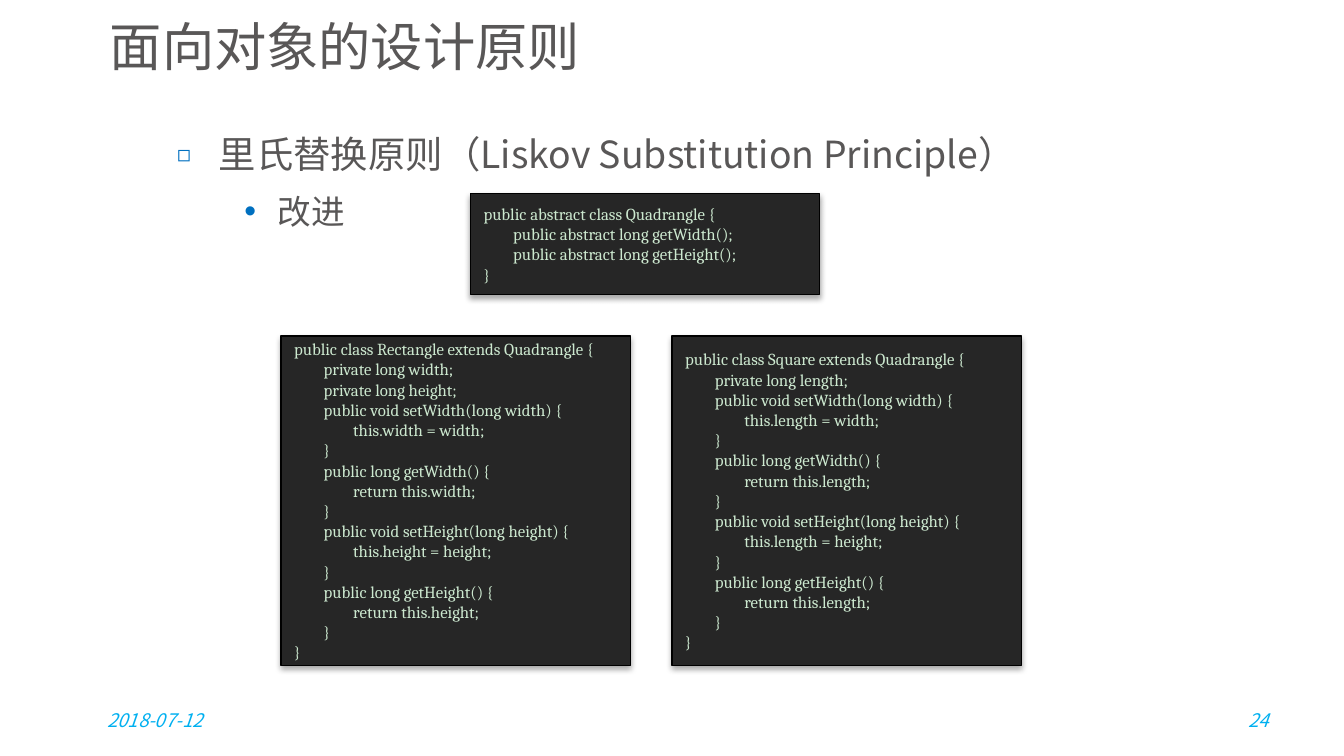
from lxml import etree
from pptx import Presentation
from pptx import util as u
from pptx.dml.color import RGBColor
from pptx.enum import shapes, text
from pptx.oxml import ns

COLORS = {
    "page": "FFFFFF", "heading": "595757", "bullet": "0070C0",
    "footer": "00B0F0", "panel": "262626", "border": "000000", "code": "CCE8CF",
}
SANS, SERIF = "Noto Sans CJK SC", "Cambria"
CODE_INDENT = 0.22

QUADRANGLE = """public abstract class Quadrangle {
    public abstract long getWidth();
    public abstract long getHeight();
}"""

RECTANGLE = """public class Rectangle extends Quadrangle {
    private long width;
    private long height;
    public void setWidth(long width) {
        this.width = width;
    }
    public long getWidth() {
        return this.width;
    }
    public void setHeight(long height) {
        this.height = height;
    }
    public long getHeight() {
        return this.height;
    }
}"""

SQUARE = """public class Square extends Quadrangle {
    private long length;
    public void setWidth(long width) {
        this.length = width;
    }
    public long getWidth() {
        return this.length;
    }
    public void setHeight(long height) {
        this.length = height;
    }
    public long getHeight() {
        return this.length;
    }
}"""


def rgb(name):
    return RGBColor.from_string(COLORS[name])


def add_xml(parent, tag, **attributes):
    return etree.SubElement(parent, ns.qn(tag), attributes)


def style(para, size, color, font=SANS, italic=None):
    para.font.size = u.Pt(size)
    para.font.name = font
    para.font.italic = italic
    para.font.color.rgb = rgb(color)
    add_xml(para._p.pPr.find(ns.qn("a:defRPr")), "a:ea", typeface=font)


def set_indent(para, left, first=0):
    properties = para._p.get_or_add_pPr()
    properties.set("marL", str(u.Inches(left)))
    properties.set("indent", str(u.Inches(first)))


def set_bullet(para, char, percent, font):
    """Add a coloured bullet to a paragraph that is already styled."""
    holder = etree.Element("holder")
    color = add_xml(holder, "a:buClr")
    add_xml(color, "a:srgbClr", val=COLORS["bullet"])
    add_xml(holder, "a:buSzPct", val=str(percent * 1000))
    add_xml(holder, "a:buFont", typeface=font)
    add_xml(holder, "a:buChar", char=char)
    defaults = para._p.pPr.find(ns.qn("a:defRPr"))
    for part in list(holder):
        defaults.addprevious(part)


def add_text_frame(page, box):
    frame = page.shapes.add_textbox(*map(u.Inches, box)).text_frame
    frame.word_wrap = True
    return frame


def add_title(page, box, wording):
    frame = add_text_frame(page, box)
    frame.text = wording
    style(frame.paragraphs[0], 28, "heading")


def add_outline(page, box, items):
    frame = add_text_frame(page, box)
    frame.text = "\n".join(item[0] for item in items)
    for level, (para, item) in enumerate(zip(frame.paragraphs, items), start=1):
        _, size, left, first, *bullet = item
        para.level = level
        para.alignment = text.PP_ALIGN.JUSTIFY
        para.line_spacing = 1.25
        para.space_before = u.Pt(3)
        set_indent(para, left, first)
        style(para, size, "heading")
        set_bullet(para, *bullet)


def add_footer(page, box, wording, align):
    frame = add_text_frame(page, box)
    frame.vertical_anchor = text.MSO_ANCHOR.MIDDLE
    frame.text = wording
    frame.paragraphs[0].alignment = align
    style(frame.paragraphs[0], 10, "footer", italic=True)


def add_shadow(shape):
    shape.shadow.inherit = False
    effects = shape._element.spPr.find(ns.qn("a:effectLst"))
    shadow = add_xml(effects, "a:outerShdw", blurRad=str(u.Pt(3.1)),
                     dist=str(u.Pt(1.8)), dir="5400000", rotWithShape="0")
    color = add_xml(shadow, "a:srgbClr", val=COLORS["border"])
    add_xml(color, "a:alpha", val="35000")


def add_code_panel(page, box, code):
    panel = page.shapes.add_shape(shapes.MSO_SHAPE.RECTANGLE, *map(u.Inches, box))
    panel.fill.solid()
    panel.fill.fore_color.rgb = rgb("panel")
    panel.line.color.rgb = rgb("border")
    panel.line.width = u.Pt(0.75)
    add_shadow(panel)
    lines = code.splitlines()
    frame = panel.text_frame
    frame.word_wrap = True
    frame.vertical_anchor = text.MSO_ANCHOR.MIDDLE
    frame.text = "\n".join(line.strip() for line in lines)
    for para, line in zip(frame.paragraphs, lines):
        depth = (len(line) - len(line.lstrip())) // 4
        para.alignment = text.PP_ALIGN.LEFT
        set_indent(para, depth * CODE_INDENT)
        style(para, 9, "code", SERIF)


def main():
    deck = Presentation()
    deck.slide_width = u.Inches(10)
    deck.slide_height = deck.slide_width * 9 // 16
    page = deck.slides.add_slide(deck.slide_layouts[6])
    page.background.fill.solid()
    page.background.fill.fore_color.rgb = rgb("page")

    add_footer(page, (0.7, 5.21, 2.33, 0.3), "2018-07-12", text.PP_ALIGN.LEFT)
    add_footer(page, (7.21, 5.21, 2.33, 0.3), "24", text.PP_ALIGN.RIGHT)
    add_title(page, (0.72, 0.06, 9, 0.47), "面向对象的设计原则")
    add_outline(page, (0.72, 0.84, 8.76, 4.18), [
        ("里氏替换原则（Liskov Substitution Principle）", 20, 0.81, -0.31, "◻", 60, SANS),
        ("改进", 18, 1.25, -0.25, "•", 100, "Arial"),
    ])
    add_code_panel(page, (2.09, 2.5, 2.6, 2.45), RECTANGLE)
    add_code_panel(page, (5, 2.5, 2.6, 2.45), SQUARE)
    add_code_panel(page, (3.5, 1.44, 2.6, 0.75), QUADRANGLE)
    deck.save("out.pptx")


if __name__ == "__main__":
    main()
